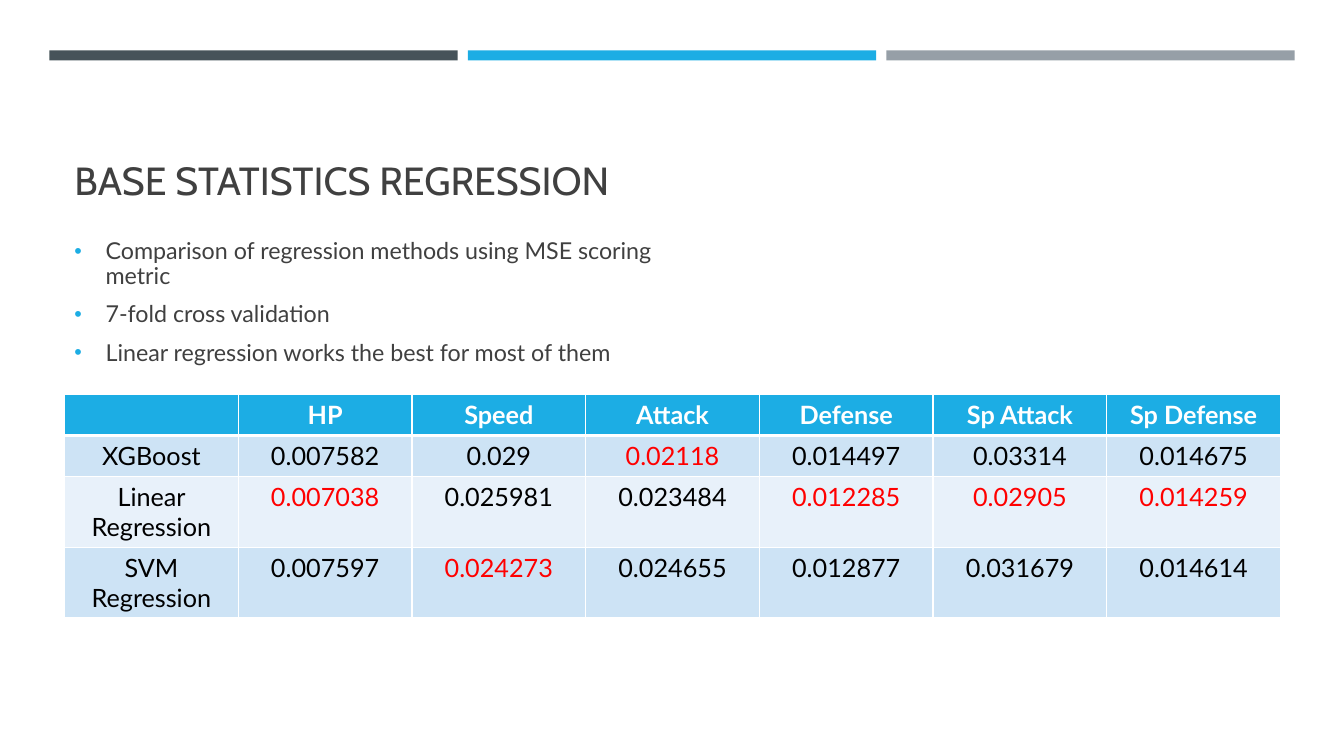
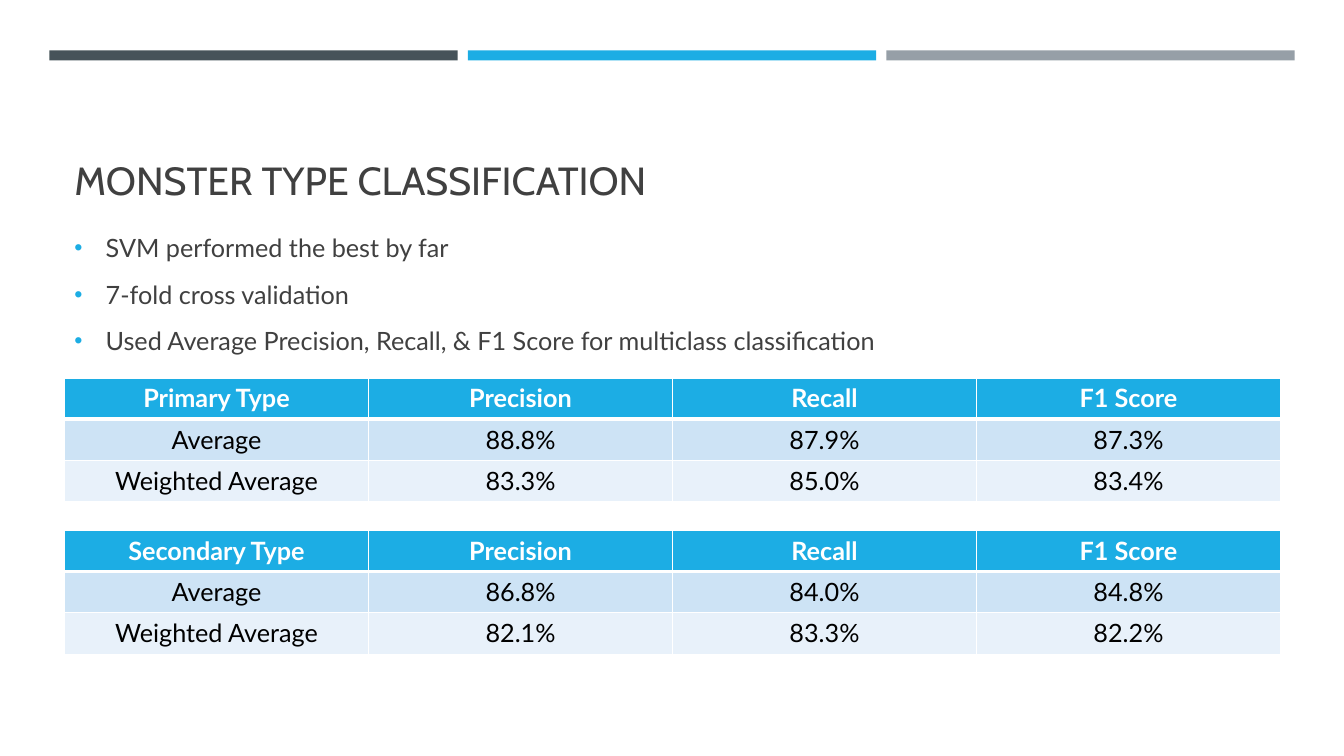
from lxml import etree
from pptx import Presentation, util as u
from pptx.dml.color import RGBColor
from pptx.enum import shapes, text
from pptx.oxml import ns

COLOURS = {
    "slate": "465359",
    "blue": "1CADE4",
    "grey": "969FA7",
    "text": "404040",
    "white": "FFFFFF",
    "black": "000000",
    "best": "FF0000",
    "odd_row": "CDE3F5",
    "even_row": "E8F1FA",
}
TITLE_FONT = "Cabin"
BODY_FONT = "Lato"
MARGIN = 0.64
CONTENT_WIDTH = 12.06
ROW_HEIGHT = 0.41
WRAPPED_ROW_HEIGHT = 0.7
SCORES = ["Precision", "Recall", "F1 Score"]


def colour(name):
    return RGBColor.from_string(COLOURS[name])


def add_xml(parent, tag, **attributes):
    return etree.SubElement(parent, ns.qn(tag), attributes)


def style_paragraph(para, font, size, colour_name, bold=False):
    for span in para.runs:
        span.font.name = font
        span.font.size = u.Pt(size)
        span.font.bold = bold
        span.font.color.rgb = colour(colour_name)


def add_text_frame(page, left, top, width, height, anchor):
    box = page.shapes.add_textbox(*map(u.Inches, (left, top, width, height)))
    frame = box.text_frame
    frame.word_wrap = True
    frame.vertical_anchor = anchor
    return frame


def add_bands(page):
    width, gap = 4.05, 0.1
    for index, name in enumerate(("slate", "blue", "grey")):
        left = 0.49 + index * (width + gap)
        band = page.shapes.add_shape(
            shapes.MSO_SHAPE.RECTANGLE,
            u.Inches(left), u.Inches(0.5), u.Inches(width), u.Inches(0.1))
        band.shadow.inherit = False
        band.fill.solid()
        band.fill.fore_color.rgb = colour(name)
        band.line.fill.background()


def add_title(page, title):
    frame = add_text_frame(page, MARGIN, 0.77, CONTENT_WIDTH, 1.3,
                           text.MSO_ANCHOR.BOTTOM)
    frame.text = title
    style_paragraph(frame.paragraphs[0], TITLE_FONT, 28, "text")


def add_bullet(para):
    properties = para._p.get_or_add_pPr()
    properties.set("marL", str(u.Inches(0.31)))
    properties.set("indent", str(u.Inches(-0.31)))
    bullet_colour = add_xml(properties, "a:buClr")
    add_xml(bullet_colour, "a:srgbClr", val=COLOURS["blue"])
    add_xml(properties, "a:buSzPct", val="92000")
    add_xml(properties, "a:buFont", typeface="Arial")
    add_xml(properties, "a:buChar", char="•")


def add_bullets(page, top, width, lines, size, line_spacing):
    frame = add_text_frame(page, MARGIN, top, width, 1.49,
                           text.MSO_ANCHOR.MIDDLE)
    frame.text = "\n".join(lines)
    for index, para in enumerate(frame.paragraphs):
        add_bullet(para)
        para.line_spacing = line_spacing
        para.space_before = u.Pt(3.4 if index else 0)
        para.space_after = u.Pt(6)
        style_paragraph(para, BODY_FONT, size, "text")


def add_borders(cell, row):
    properties = cell._tc.get_or_add_tcPr()
    widths = {"L": 1, "R": 1, "T": 3 if row == 1 else 1, "B": 1 if row else 3}
    for position, (side, width) in enumerate(widths.items()):
        line = etree.Element(ns.qn(f"a:ln{side}"), w=str(u.Pt(width)))
        fill = add_xml(line, "a:solidFill")
        add_xml(fill, "a:srgbClr", val=COLOURS["white"])
        properties.insert(position, line)


def style_cell(cell, row, is_best):
    if row == 0:
        fill, ink = "blue", "white"
    else:
        fill = "odd_row" if row % 2 else "even_row"
        ink = "best" if is_best else "black"
    cell.fill.solid()
    cell.fill.fore_color.rgb = colour(fill)
    add_borders(cell, row)
    para = cell.text_frame.paragraphs[0]
    para.alignment = text.PP_ALIGN.CENTER
    style_paragraph(para, BODY_FONT, 18, ink, bold=row == 0)


def add_results_table(page, top, rows, best=(), wrapped=()):
    heights = [WRAPPED_ROW_HEIGHT if row in wrapped else ROW_HEIGHT
               for row in range(len(rows))]
    table = page.shapes.add_table(
        len(rows), len(rows[0]), u.Inches(MARGIN), u.Inches(top),
        u.Inches(CONTENT_WIDTH), u.Inches(sum(heights))).table
    for row, values in enumerate(rows):
        table.rows[row].height = u.Inches(heights[row])
        for column, value in enumerate(values):
            cell = table.cell(row, column)
            cell.text = value
            style_cell(cell, row, (row, column) in best)


def add_page(deck, title):
    page = deck.slides.add_slide(deck.slide_layouts[6])
    add_bands(page)
    add_title(page, title)
    return page


def add_regression_page(deck):
    page = add_page(deck, "BASE STATISTICS REGRESSION")
    add_results_table(page, 3.91, [
        ["", "HP", "Speed", "Attack", "Defense", "Sp Attack", "Sp Defense"],
        ["XGBoost", "0.007582", "0.029", "0.02118", "0.014497", "0.03314",
         "0.014675"],
        ["Linear Regression", "0.007038", "0.025981", "0.023484", "0.012285",
         "0.02905", "0.014259"],
        ["SVM Regression", "0.007597", "0.024273", "0.024655", "0.012877",
         "0.031679", "0.014614"],
    ], best={(1, 3), (2, 1), (2, 4), (2, 5), (2, 6), (3, 2)}, wrapped={2, 3})
    add_bullets(page, 2.26, 6.34, [
        "Comparison of regression methods using MSE scoring metric",
        "7-fold cross validation",
        "Linear regression works the best for most of them",
    ], size=16.6, line_spacing=0.9)


def add_classification_page(deck):
    page = add_page(deck, "MONSTER TYPE CLASSIFICATION")
    add_results_table(page, 3.75, [
        ["Primary Type", *SCORES],
        ["Average", "88.8%", "87.9%", "87.3%"],
        ["Weighted Average", "83.3%", "85.0%", "83.4%"],
    ])
    add_results_table(page, 5.26, [
        ["Secondary Type", *SCORES],
        ["Average", "86.8%", "84.0%", "84.8%"],
        ["Weighted Average", "82.1%", "83.3%", "82.2%"],
    ])
    add_bullets(page, 2.16, 10.34, [
        "SVM performed the best by far",
        "7-fold cross validation",
        "Used Average Precision, Recall, & F1 Score for multiclass "
        "classification",
    ], size=18, line_spacing=1.1)


def main():
    deck = Presentation()
    deck.slide_width = u.Inches(13.33)
    deck.slide_height = u.Inches(7.5)
    add_regression_page(deck)
    add_classification_page(deck)
    deck.save("out.pptx")


if __name__ == "__main__":
    main()
